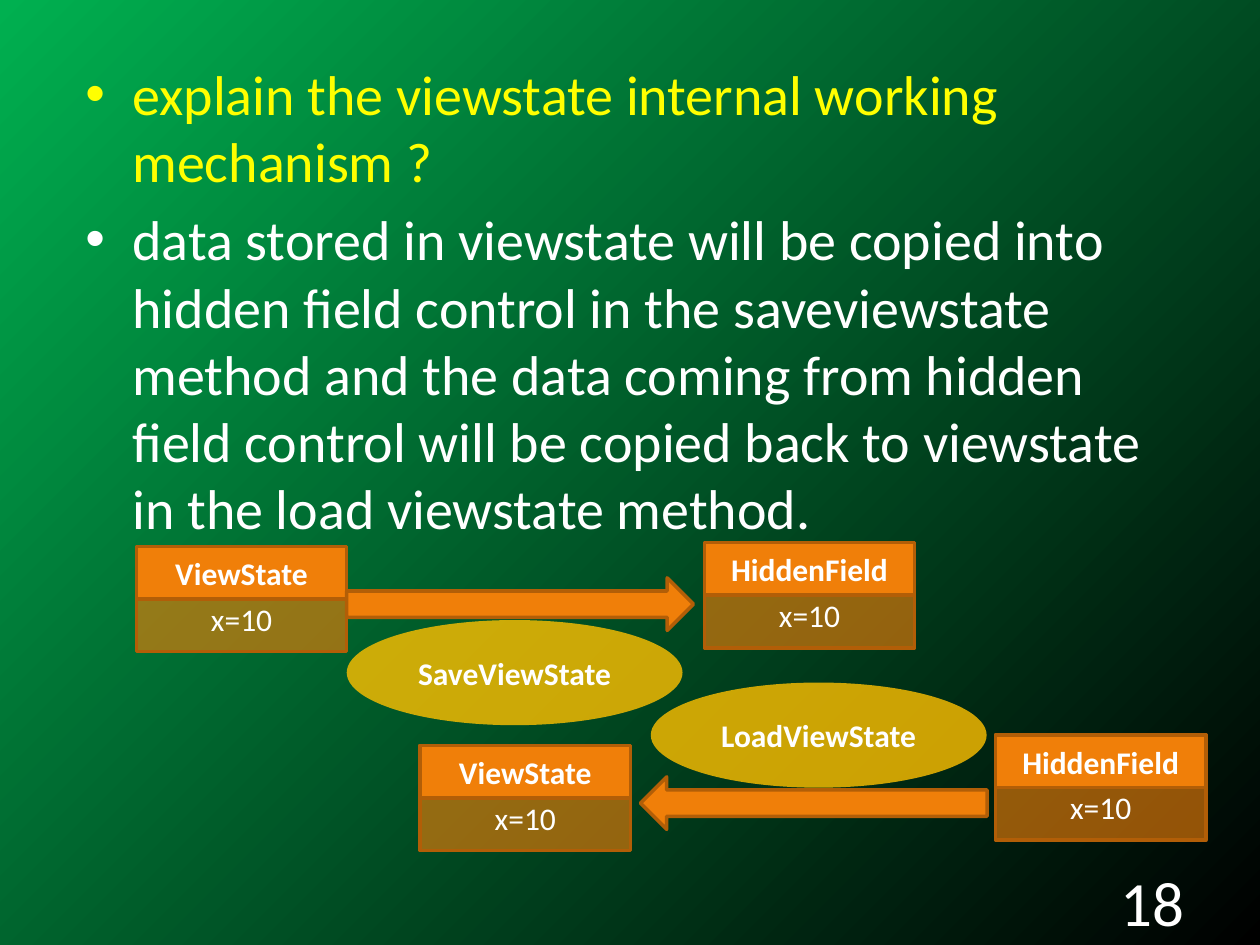
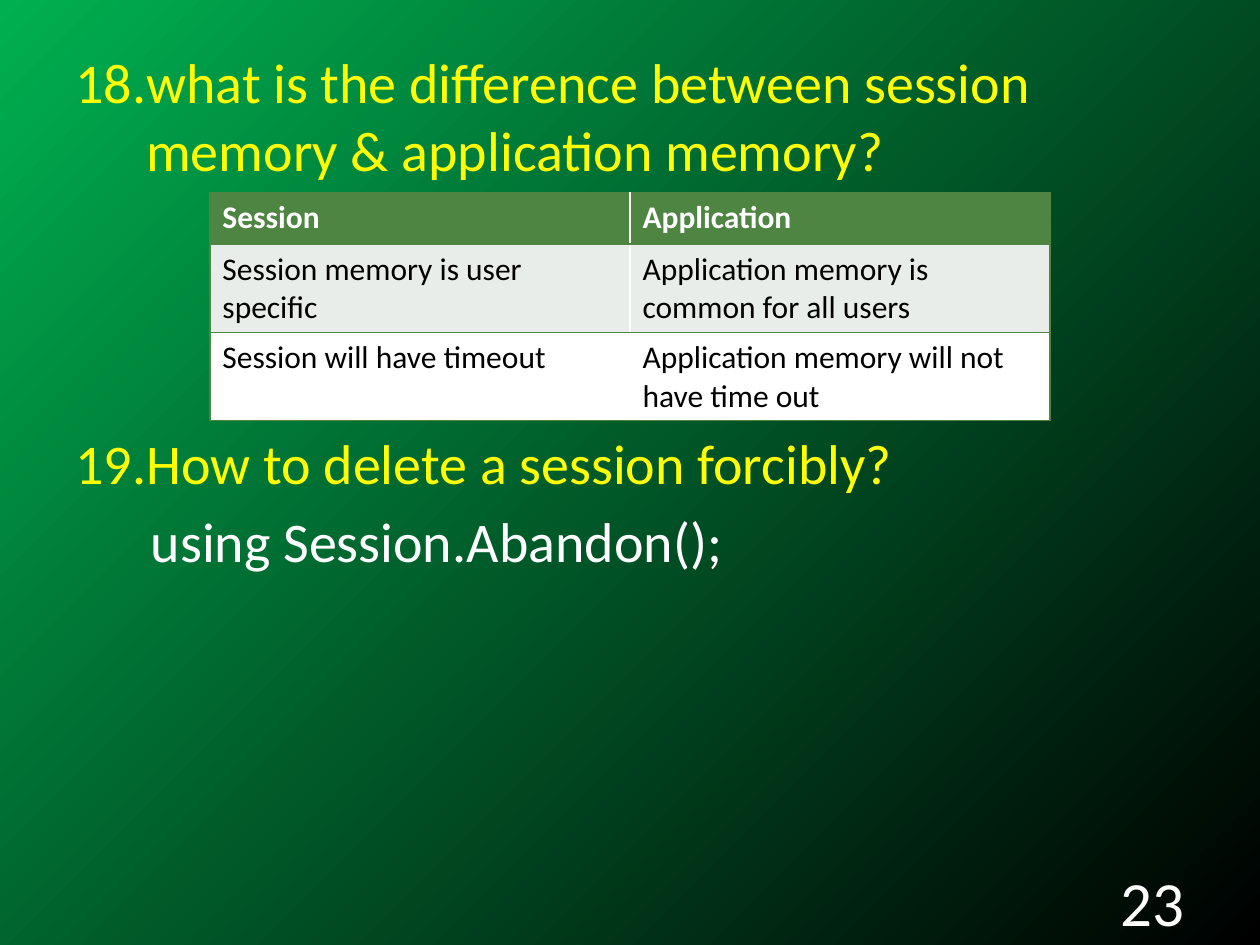
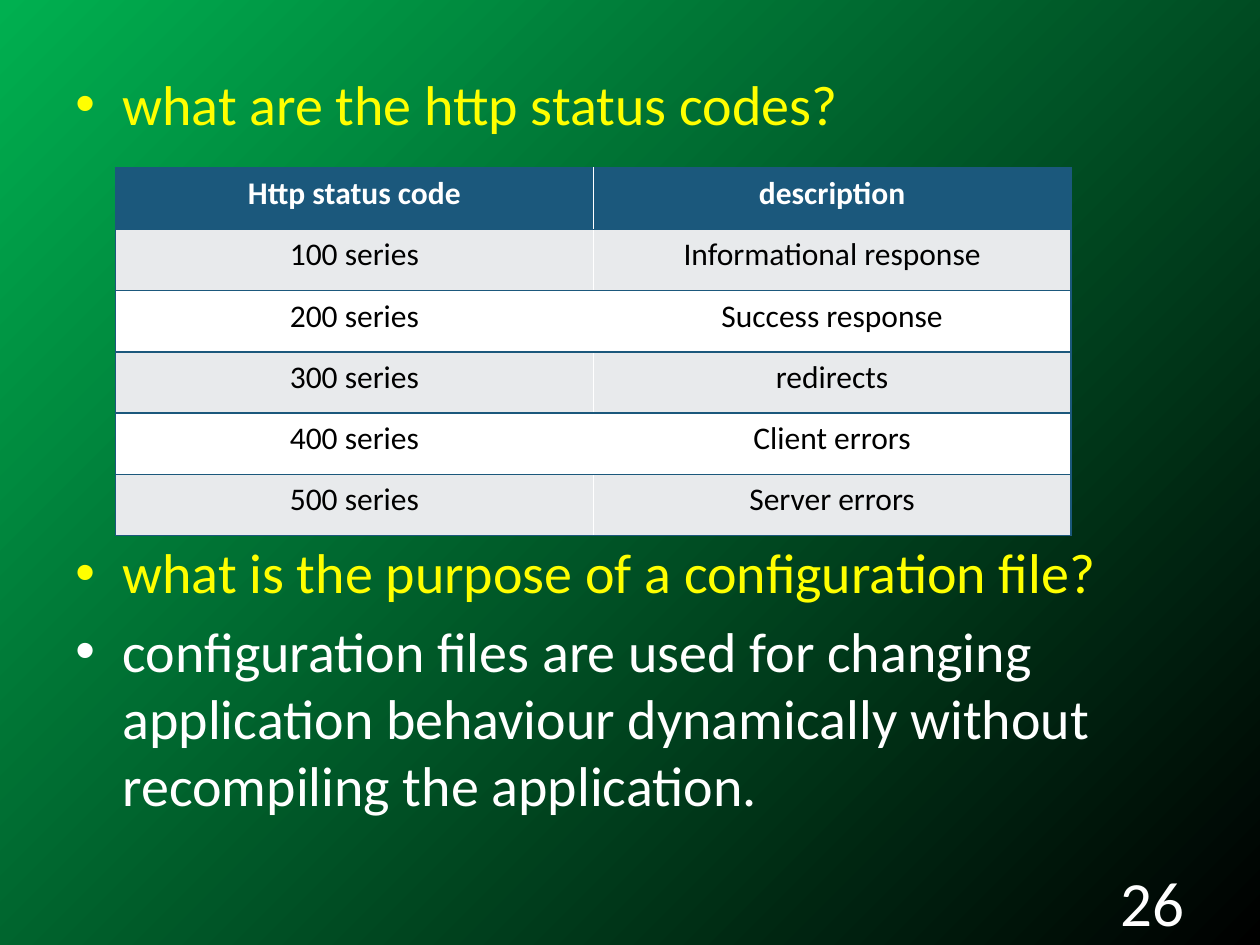
from pptx import Presentation
from pptx.dml.color import RGBColor
from pptx.enum.shapes import MSO_SHAPE
from pptx.enum.text import MSO_ANCHOR, PP_ALIGN
from pptx.oxml.ns import qn
from pptx.util import Cm, Pt
from lxml import etree

RECTANGLE, ARROW, ELLIPSE = MSO_SHAPE.RECTANGLE, MSO_SHAPE.RIGHT_ARROW, MSO_SHAPE.OVAL
LEFT, CENTER, RIGHT = PP_ALIGN.LEFT, PP_ALIGN.CENTER, PP_ALIGN.RIGHT
MIDDLE = MSO_ANCHOR.MIDDLE

GREEN = RGBColor(0x00, 0xB0, 0x50)
BLACK = RGBColor(0x00, 0x00, 0x00)
WHITE = RGBColor(0xFF, 0xFF, 0xFF)
YELLOW = RGBColor(0xFF, 0xFF, 0x00)
ORANGE = RGBColor(0xF0, 0x7F, 0x09)
DARK_ORANGE = RGBColor(0xB2, 0x5E, 0x07)
GOLD = RGBColor(0xFF, 0xC0, 0x00)
LEAF = RGBColor(0x4E, 0x85, 0x42)
PALE_LEAF = RGBColor(0xE9, 0xED, 0xE9)
BLUE = RGBColor(0x1B, 0x58, 0x7C)
PALE_BLUE = RGBColor(0xE8, 0xEA, 0xEC)

QUESTION = {"size": Pt(32), "color": YELLOW}
ANSWER = {"size": Pt(32), "color": WHITE}
PAGE_NUMBER = {"size": Pt(36), "color": WHITE}
LABEL = {"size": Pt(18), "color": WHITE, "bold": True}
VALUE = {"size": Pt(18), "color": WHITE}
CELL = {"size": Pt(18), "color": BLACK}

# Each kind of list entry: left margin, first-line indent, bullet tag, bullet attributes
BULLET = (Cm(0.95), Cm(-0.95), "a:buChar", {"char": "•"})
NUMBER = (Cm(1.43), Cm(-1.43), "a:buAutoNum", {"type": "arabicPeriod", "startAt": "18"})
INDENTED = (Cm(1.52), Cm(0), "a:buNone", {})
GAP = 6.4


def write(para, text, style, align=LEFT):
    para.alignment = align
    span = para.add_run()
    span.text = text
    span.font.name = "Calibri"
    for name, setting in style.items():
        if name == "color":
            span.font.color.rgb = setting
        else:
            setattr(span.font, name, setting)


def add_block(page, kind, place, fill, opacity=100, outlined=True, text="", style=LABEL):
    block = page.shapes.add_shape(kind, *map(Cm, place))
    block.shadow.inherit = False
    block.fill.solid()
    block.fill.fore_color.rgb = fill
    if opacity < 100:
        color = block._element.spPr.find(".//" + qn("a:srgbClr"))
        etree.SubElement(color, qn("a:alpha"), val=str(opacity * 1000))
    if outlined:
        block.line.color.rgb = DARK_ORANGE
        block.line.width = Pt(2)
    else:
        block.line.fill.background()
    block.text_frame.vertical_anchor = MIDDLE
    if text:
        write(block.text_frame.paragraphs[0], text, style, CENTER)
    return block


deck = Presentation()
deck.slide_width, deck.slide_height = Cm(25.4), Cm(19.05)
backdrop = deck.slide_master.background.fill
backdrop.gradient()
backdrop.gradient_angle = 315  # counter-clockwise, so top left to bottom right
for stop, color in zip(backdrop.gradient_stops, (GREEN, BLACK)):
    stop.color.rgb = color

# Page number, body place, and entries: text, style, list kind, space before in points
contents = [
    ("18", (1.47, 1.07, 22.86, 12.57), [
        ("explain the viewstate internal working mechanism ?", QUESTION, BULLET, GAP),
        ("data stored in viewstate will be copied into hidden field control in the "
         "saveviewstate method and the data coming from hidden field control will be "
         "copied back to viewstate in the load viewstate method.", ANSWER, BULLET, GAP),
    ]),
    ("23", (1.27, 0.84, 23.06, 16.18), [
        ("what is the difference between session memory & application memory?",
         QUESTION, NUMBER, GAP),
        ("How to delete a session forcibly?", QUESTION, NUMBER, 140.5),
        ("using Session.Abandon();", ANSWER, INDENTED, GAP),
    ]),
    ("26", (1.27, 1.27, 22.86, 16.08), [
        ("what are the http status codes?", QUESTION, BULLET, GAP),
        ("what is the purpose of a configuration file?", QUESTION, BULLET, 229.5),
        ("configuration files are used for changing application behaviour dynamically "
         "without recompiling the application.", ANSWER, BULLET, GAP),
    ]),
]

pages = []
for number, place, entries in contents:
    page = deck.slides.add_slide(deck.slide_layouts[6])
    pages.append(page)
    body = page.shapes.add_textbox(*map(Cm, place)).text_frame
    body.word_wrap = True
    for index, (text, style, (margin, indent, tag, bullet), space) in enumerate(entries):
        para = body.add_paragraph() if index else body.paragraphs[0]
        write(para, text, style)
        para.space_before = Pt(space)
        properties = para._p.get_or_add_pPr()
        properties.set("marL", str(margin))
        properties.set("indent", str(indent))
        etree.SubElement(properties, qn("a:buFont"), typeface="Arial" if tag == "a:buChar" else "+mj-lt")
        etree.SubElement(properties, qn(tag), bullet)

    footer = page.shapes.add_textbox(Cm(18.2), Cm(17.65), Cm(5.93), Cm(1.02)).text_frame
    footer.word_wrap = True
    footer.vertical_anchor = MIDDLE
    write(footer.paragraphs[0], number, PAGE_NUMBER, RIGHT)

viewstate_page, session_page, status_page = pages

# Flow of the value between view state and hidden field
STORE_WIDTH, STORE_HEIGHT = 4.24, 2.12
for left, top, name in [
    (2.75, 11.02, "ViewState"), (14.2, 10.94, "HiddenField"),
    (20.07, 14.82, "HiddenField"), (8.47, 15.03, "ViewState"),
]:
    store = add_block(viewstate_page, RECTANGLE, (left, top, STORE_WIDTH, STORE_HEIGHT),
                      ORANGE, opacity=62, text="x=10", style=VALUE)
    store.text_frame.margin_top = Cm(0.91)
    add_block(viewstate_page, RECTANGLE, (left, top, STORE_WIDTH, STORE_HEIGHT / 2),
              ORANGE, text=name)

for left, top, rotation in [(6.99, 11.65, 0), (12.91, 15.66, 180)]:
    arrow = add_block(viewstate_page, ARROW, (left, top, 6.99, 1.06), ORANGE)
    arrow.rotation = rotation

for left, top, method in [(6.99, 12.5, "SaveViewState"), (13.12, 13.76, "LoadViewState")]:
    add_block(viewstate_page, ELLIPSE, (left, top, 6.77, 2.12), GOLD,
              opacity=80, outlined=False, text=method)

# Tables: page, left, top, column width, row heights, colours, alignment, rows
session_rows = [
    ("Session", "Application"),
    ("Session memory is user specific", "Application memory is common for all users"),
    ("Session will have timeout", "Application memory will not have time out"),
]
status_rows = [
    ("Http status code", "description"),
    ("100 series", "Informational response"),
    ("200 series", "Success response"),
    ("300 series", "redirects"),
    ("400 series", "Client errors"),
    ("500 series", "Server errors"),
]
for page, left, top, width, heights, accent, band, align, rows in [
    (session_page, 4.23, 3.88, 8.47, [1.04, 1.78, 1.78], LEAF, PALE_LEAF, LEFT, session_rows),
    (status_page, 2.33, 3.39, 9.63, [1.235] * 6, BLUE, PALE_BLUE, CENTER, status_rows),
]:
    table = page.shapes.add_table(len(rows), 2, Cm(left), Cm(top),
                                  Cm(2 * width), Cm(sum(heights))).table
    for column in table.columns:
        column.width = Cm(width)
    for row_index, (height, texts) in enumerate(zip(heights, rows)):
        table.rows[row_index].height = Cm(height)
        fill = accent if row_index == 0 else (WHITE, band)[row_index % 2]
        for column_index, text in enumerate(texts):
            cell = table.cell(row_index, column_index)
            cell.fill.solid()
            cell.fill.fore_color.rgb = fill
            write(cell.text_frame.paragraphs[0], text, CELL if row_index else LABEL, align)
            sides = ("a:lnR" if column_index else "a:lnL", "a:lnT", "a:lnB")
            for position, side in enumerate(sides):
                edge = etree.Element(qn(side), w=str(Pt(1)))
                paint = etree.SubElement(edge, qn("a:solidFill"))
                etree.SubElement(paint, qn("a:srgbClr"), val=str(accent))
                cell._tc.get_or_add_tcPr().insert(position, edge)

deck.save("out.pptx")
